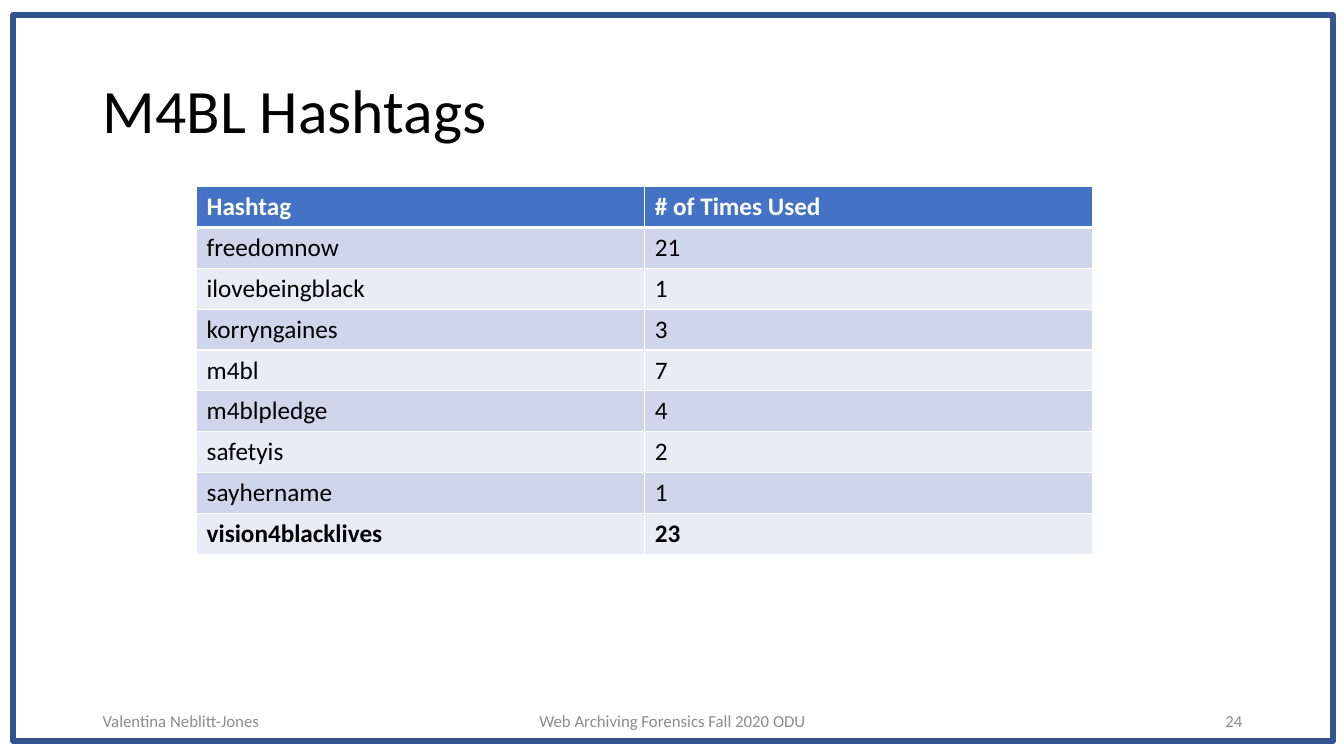
import pptx
import pptx.util
import pptx.dml.color
import pptx.enum.shapes
import pptx.enum.text
import pptx.oxml.ns
from dataclasses import dataclass
from lxml import etree

ALIGN = pptx.enum.text.PP_ALIGN
MIDDLE = pptx.enum.text.MSO_ANCHOR.MIDDLE

# Content
TITLE = "M4BL Hashtags"
HEADER = ("Hashtag", "# of Times Used")
HASHTAGS = [
    ("freedomnow", 21),
    ("ilovebeingblack", 1),
    ("korryngaines", 3),
    ("m4bl", 7),
    ("m4blpledge", 4),
    ("safetyis", 2),
    ("sayhername", 1),
    ("vision4blacklives", 23),
]
# Footer entries: text, left, width, alignment
FOOTER = [
    ("Valentina Neblitt-Jones", 0.92, 3, ALIGN.LEFT),
    ("Web Archiving Forensics Fall 2020 ODU", 4.42, 4.5, ALIGN.CENTER),
    ("24", 9.42, 3, ALIGN.RIGHT),
]


@dataclass(frozen=True)
class Theme:
    font: str = "Calibri"
    title_size: int = 44
    table_size: int = 18
    footer_size: int = 12
    ink: str = "000000"
    paper: str = "FFFFFF"
    muted: str = "8C8C8C"
    frame: str = "325491"
    header: str = "4472C4"
    bands: tuple = ("CFD5EA", "E9EBF5")


THEME = Theme()


def box(*lengths):
    return [pptx.util.Inches(length) for length in lengths]


def rgb(color):
    return pptx.dml.color.RGBColor.from_string(color)


def write(frame, text, size, color, bold=False, align=ALIGN.LEFT):
    frame.text = text
    paragraph = frame.paragraphs[0]
    paragraph.alignment = align
    font = paragraph.runs[0].font
    font.name, font.size, font.bold = THEME.font, pptx.util.Pt(size), bold
    font.color.rgb = rgb(color)
    return paragraph


def rule_cell(cell, top, bottom):
    """Draw the cell's four borders, widths in points."""
    properties = cell._tc.get_or_add_tcPr()
    qn = pptx.oxml.ns.qn
    for side, width in (("L", 1), ("R", 1), ("T", top), ("B", bottom)):
        line = etree.SubElement(properties, qn(f"a:ln{side}"), w=str(pptx.util.Pt(width)))
        fill = etree.SubElement(line, qn("a:solidFill"))
        etree.SubElement(fill, qn("a:srgbClr"), val=THEME.paper)


deck = pptx.Presentation()
deck.slide_width, deck.slide_height = box(13.33, 7.5)
slide = deck.slides.add_slide(deck.slide_layouts[5])

# Title
title = slide.shapes.title
title.left, title.top, title.width, title.height = box(0.92, 0.4, 11.5, 1.45)
title.text_frame.vertical_anchor = MIDDLE
write(title.text_frame, TITLE, THEME.title_size, THEME.ink).line_spacing = 0.9

# Slide frame
frame = slide.shapes.add_shape(
    pptx.enum.shapes.MSO_SHAPE.RECTANGLE, *box(0.13, 0.15, 13.09, 7.2))
frame.shadow.inherit = False
frame.fill.background()
frame.line.color.rgb = rgb(THEME.frame)
frame.line.width = pptx.util.Pt(4.5)

# Footer
for text, left, width, align in FOOTER:
    entry = slide.shapes.add_textbox(*box(left, 6.95, width, 0.4)).text_frame
    entry.word_wrap = True
    entry.vertical_anchor = MIDDLE
    write(entry, text, THEME.footer_size, THEME.muted, align=align)

# Hashtag table
rows = [HEADER, *HASHTAGS]
most_used = max(HASHTAGS, key=lambda entry: entry[1])
table = slide.shapes.add_table(
    len(rows), len(HEADER), *box(1.95, 1.85, 8.89, 3.65)).table
for r, row in enumerate(rows):
    is_header = r == 0
    for c, value in enumerate(row):
        cell = table.cell(r, c)
        rule_cell(cell, top=3 if r == 1 else 1, bottom=3 if is_header else 1)
        cell.fill.solid()
        cell.fill.fore_color.rgb = rgb(THEME.header if is_header else THEME.bands[(r - 1) % 2])
        write(cell.text_frame, str(value), THEME.table_size,
              THEME.paper if is_header else THEME.ink,
              bold=is_header or row == most_used)

deck.save("out.pptx")
